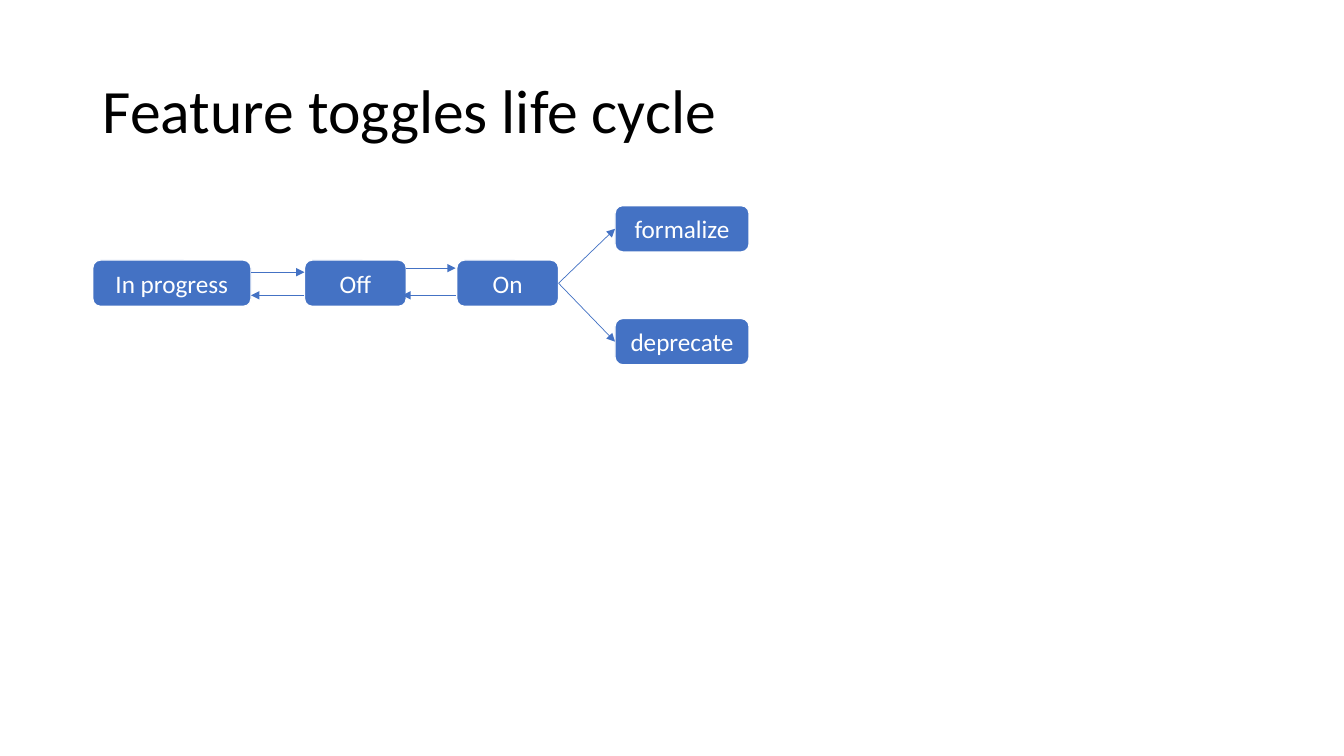
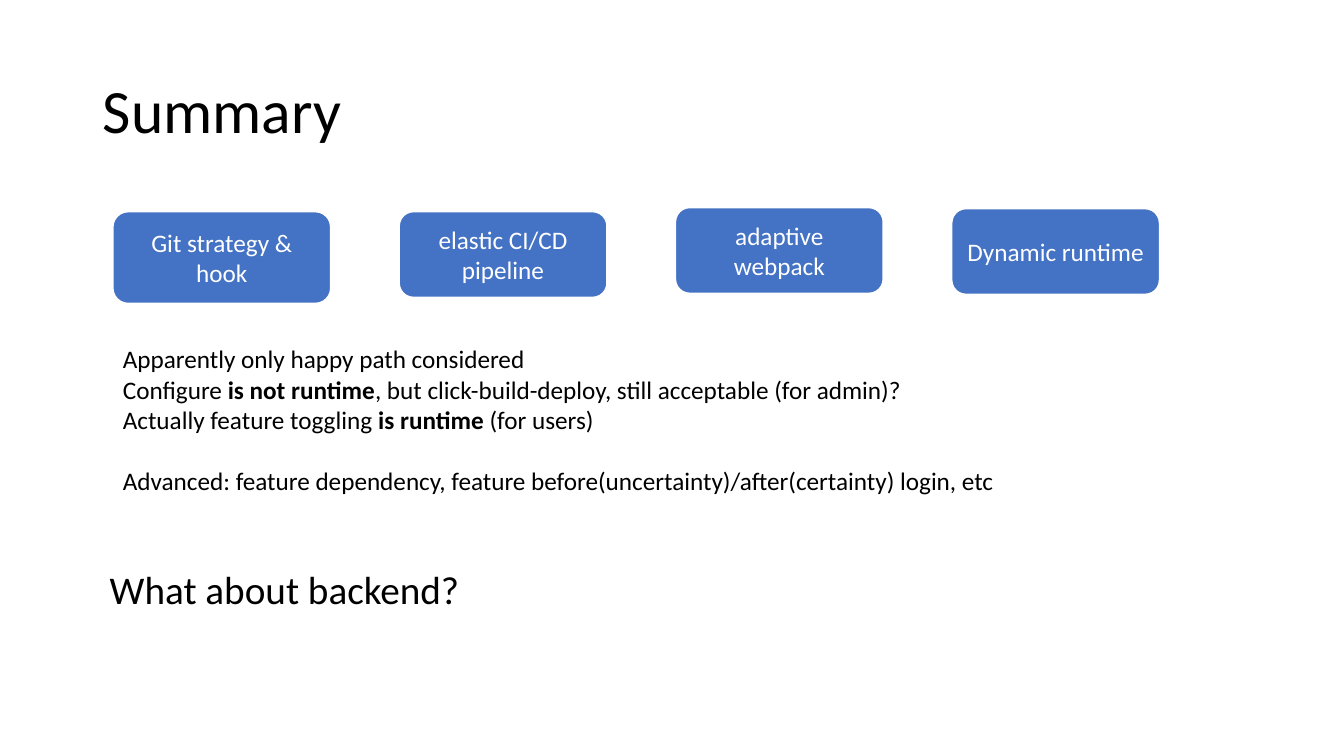
from dataclasses import dataclass
from lxml import etree
from pptx import Presentation
from pptx.dml.color import RGBColor
from pptx.enum.shapes import MSO_CONNECTOR, MSO_SHAPE
from pptx.enum.text import MSO_ANCHOR, PP_ALIGN
from pptx.oxml.ns import qn
from pptx.util import Inches, Pt

LEFT, CENTER = PP_ALIGN.LEFT, PP_ALIGN.CENTER
TOP, MIDDLE = MSO_ANCHOR.TOP, MSO_ANCHOR.MIDDLE
ROUND, STRAIGHT = MSO_SHAPE.ROUNDED_RECTANGLE, MSO_CONNECTOR.STRAIGHT
LEFT_SIDE, RIGHT_SIDE = 1, 3


@dataclass(frozen=True)
class Theme:
    font: str = "Calibri"
    ink: RGBColor = RGBColor(0x00, 0x00, 0x00)
    blue: RGBColor = RGBColor(0x44, 0x72, 0xC4)
    white: RGBColor = RGBColor(0xFF, 0xFF, 0xFF)
    title: int = 44
    lead: int = 28
    body: int = 18
    edge: float = 1
    arrow: float = 0.5
    tight: float = 0.9
    gap: int = 22


THEME = Theme()
TITLE_AT = (0.92, 0.4, 11.5, 1.45)

STATES = {
    "In progress": (0.92, 2.58, 1.57, 0.46),
    "Off": (3.02, 2.58, 1.01, 0.46),
    "On": (4.53, 2.58, 1.01, 0.46),
    "formalize": (6.1, 2.04, 1.33, 0.46),
    "deprecate": (6.1, 3.16, 1.33, 0.46),
}
MOVES = [
    (2.49, 3.02, 2.7),
    (3.02, 2.49, 2.93),
    (4.03, 4.52, 2.66),
    (4.52, 3.99, 2.93),
]
FORKS = [("On", "formalize"), ("On", "deprecate")]

PARTS = {
    "Git strategy & hook": (1.12, 2.1, 2.16, 0.91),
    "elastic CI/CD pipeline": (3.96, 2.1, 2.06, 0.85),
    "adaptive webpack": (6.7, 2.06, 2.06, 0.85),
    "Dynamic runtime": (9.44, 2.07, 2.06, 0.85),
}
NOTES_AT = (1.12, 3.36, 10.32, 1.62)
NOTES = [
    [("Apparently only happy path considered", False)],
    [("Configure ", False), ("is not runtime", True),
     (", but click-build-deploy, still acceptable (for admin)?", False)],
    [("Actually feature toggling ", False), ("is runtime ", True),
     ("(for users)", False)],
    [("Advanced: feature dependency, feature before(uncertainty)"
      "/after(certainty) login, etc", False)],
]
ASK_AT = (0.99, 5.61, 11.5, 0.6)
ASK = "What about backend?"


def write(frame, paras, size=THEME.body, color=THEME.ink, align=LEFT,
          anchor=TOP, lead=1.0):
    if isinstance(paras, str):
        paras = [[(paras, False)]]
    frame.word_wrap = True
    frame.vertical_anchor = anchor
    for i, runs in enumerate(paras):
        para = frame.add_paragraph() if i else frame.paragraphs[0]
        para.alignment = align
        para.line_spacing = lead
        for text, bold in runs:
            run = para.add_run()
            run.text = text
            font = run.font
            font.name, font.size, font.bold = THEME.font, Pt(size), bold
            font.color.rgb = color


def place(at):
    return [Inches(v) for v in at]


def start(deck, title):
    slide = deck.slides.add_slide(deck.slide_layouts[5])
    head = slide.shapes.title
    head.left, head.top, head.width, head.height = place(TITLE_AT)
    write(head.text_frame, title, size=THEME.title, anchor=MIDDLE,
          lead=THEME.tight)
    return slide


def box(slide, text, at):
    shape = slide.shapes.add_shape(ROUND, *place(at))
    shape.shadow.inherit = False
    shape.fill.solid()
    shape.fill.fore_color.rgb = THEME.blue
    shape.line.color.rgb = THEME.white
    shape.line.width = Pt(THEME.edge)
    write(shape.text_frame, text, color=THEME.white, align=CENTER,
          anchor=MIDDLE)
    return shape


def label(slide, text, at, **style):
    area = slide.shapes.add_textbox(*place(at))
    write(area.text_frame, text, **style)
    return area.text_frame


def arrow(slide, ends=(0, 0, 0, 0)):
    line = slide.shapes.add_connector(STRAIGHT, *place(ends))
    line.line.color.rgb = THEME.blue
    line.line.width = Pt(THEME.arrow)
    tip = etree.SubElement(line.line._get_or_add_ln(), qn("a:tailEnd"))
    tip.set("type", "triangle")
    etree.SubElement(line._element.spPr, qn("a:effectLst"))
    return line


def cycle(deck):
    slide = start(deck, "Feature toggles life cycle")
    nodes = {text: box(slide, text, at) for text, at in STATES.items()}
    for x1, x2, y in MOVES:
        arrow(slide, (x1, y, x2, y))
    for tail, head in FORKS:
        line = arrow(slide)
        line.begin_connect(nodes[tail], RIGHT_SIDE)
        line.end_connect(nodes[head], LEFT_SIDE)


def recap(deck):
    slide = start(deck, "Summary")
    for text, at in PARTS.items():
        box(slide, text, at)
    notes = label(slide, NOTES, NOTES_AT)
    notes.paragraphs[-1].space_before = Pt(THEME.gap)
    label(slide, ASK, ASK_AT, size=THEME.lead, lead=THEME.tight)


def main():
    deck = Presentation()
    deck.slide_width, deck.slide_height = Inches(13.33), Inches(7.5)
    cycle(deck)
    recap(deck)
    deck.save("out.pptx")


if __name__ == "__main__":
    main()
